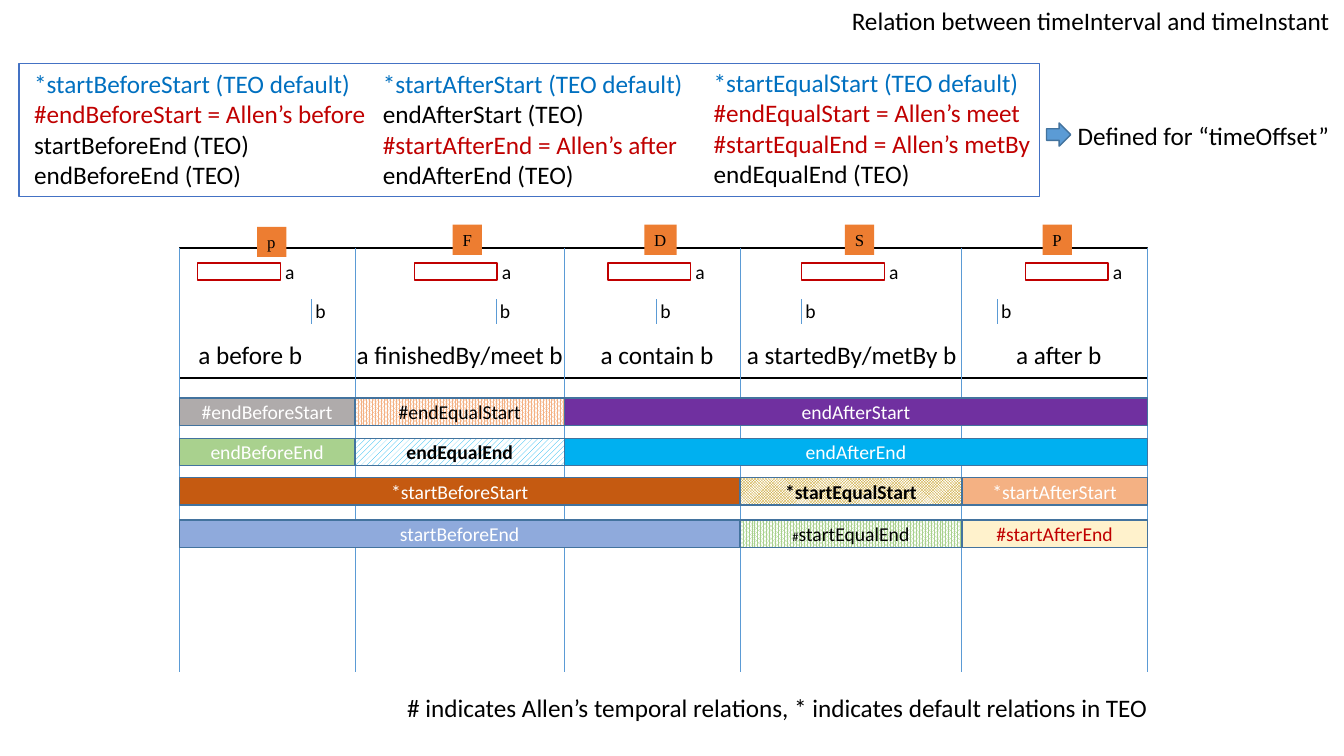
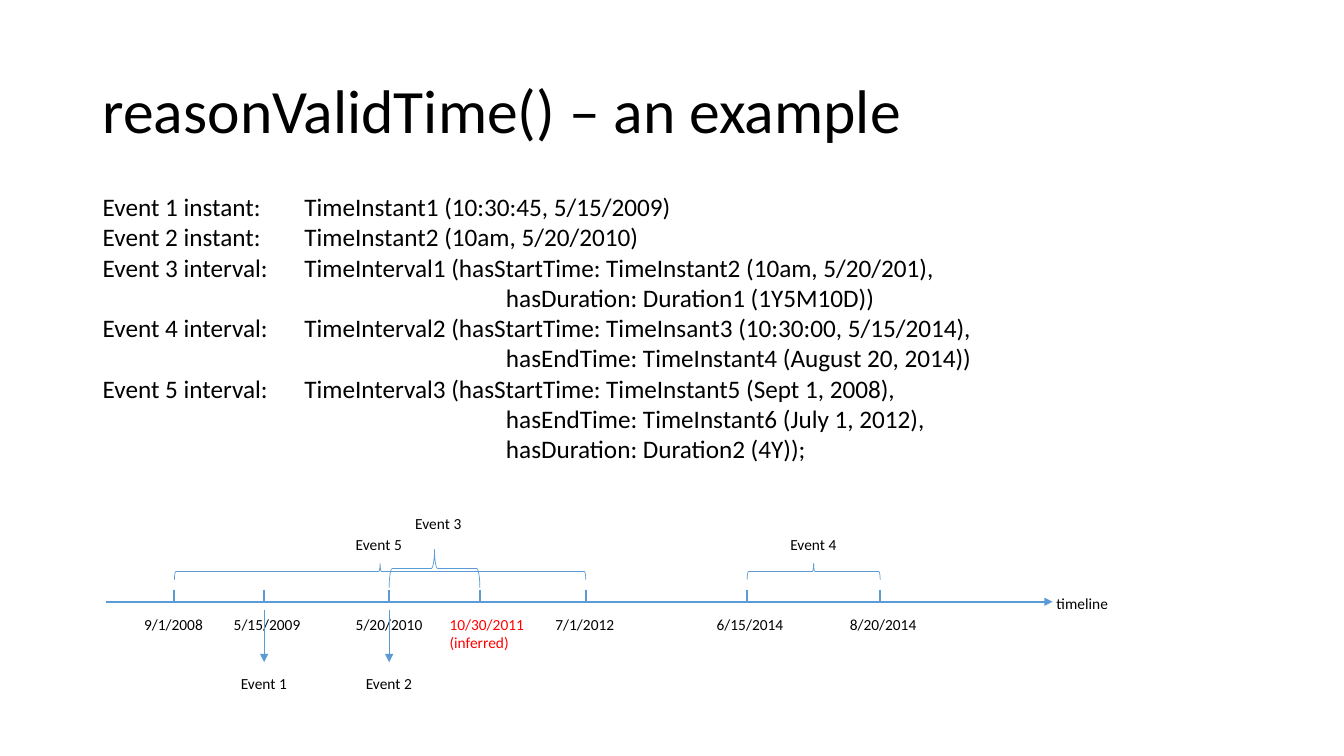
"""Build two slides on relations between time spans and time points."""
from dataclasses import dataclass
from itertools import pairwise
from typing import Any, NamedTuple, Optional, Sequence

from lxml.etree import SubElement
from pptx import Presentation
from pptx.dml.color import RGBColor
from pptx.enum.dml import MSO_PATTERN
from pptx.enum.shapes import MSO_CONNECTOR, MSO_SHAPE
from pptx.enum.text import MSO_ANCHOR, MSO_AUTO_SIZE, PP_ALIGN
from pptx.oxml.ns import qn
from pptx.util import Inches, Pt


@dataclass(frozen=True)
class Theme:
    font: str = "Calibri"
    serif: str = "Times New Roman"
    black: str = "000000"
    white: str = "FFFFFF"
    blue: str = "5B9BD5"
    edge: str = "43739E"
    frame: str = "4472C4"
    azure: str = "0070C0"
    sky: str = "00B0F0"
    red: str = "C00000"
    alert: str = "FF0000"
    orange: str = "ED7D31"
    rust: str = "C55A11"
    peach: str = "F4B183"
    gold: str = "BF9000"
    cream: str = "FFF2CC"
    green: str = "A9D18E"
    gray: str = "AFABAB"
    purple: str = "7030A0"
    steel: str = "8FAADC"
    title: float = 44
    body: float = 18
    label: float = 14
    badge: float = 12
    date: float = 11
    tiny: float = 9
    thin: float = 0.5
    thick: float = 1.5


T = Theme()


class Para(NamedTuple):
    text: str
    color: str = T.black
    indent: float = 0
    lead: str = ""


class Scene(NamedTuple):
    badge: str
    badge_x: float
    badge_y: float
    badge_w: float
    span_x: float
    point_x: float
    text: str
    text_x: float
    text_w: float


class Bar(NamedTuple):
    row: int
    first: int
    last: int
    para: Para
    fill: str
    weave: Optional[MSO_PATTERN] = None
    bold: bool = False


class Mark(NamedTuple):
    x: float
    lines: Sequence[Para]
    width: float = 0.87
    shift: float = 0.4


class Brace(NamedTuple):
    start: float
    end: float
    top: float
    height: float
    text: str
    text_x: float
    text_y: float


COLS = (1.78, 3.52, 5.6, 7.34, 9.54, 11.38)
ROWS = (3.95, 4.35, 4.74, 5.16)
TOP, BASE, FOOT = 2.46, 3.75, 6.67
AXIS = 5.97

LISTS = (
    (0.24, 0.63, 3.53, False, (
        Para("*startBeforeStart (TEO default)", T.azure),
        Para("#endBeforeStart = Allen’s before", T.red),
        Para("startBeforeEnd (TEO)"),
        Para("endBeforeEnd (TEO)"))),
    (3.7, 0.63, 6.67, True, (
        Para("*startAfterStart (TEO default)", T.azure),
        Para("endAfterStart (TEO)"),
        Para("#startAfterEnd = Allen’s after", T.red),
        Para("endAfterEnd (TEO)"))),
    (6.98, 0.62, 3.37, True, (
        Para("*startEqualStart (TEO default)", T.azure),
        Para("#endEqualStart = Allen’s meet", T.red),
        Para("#startEqualEnd = Allen’s metBy", T.red),
        Para("endEqualEnd (TEO)"))),
)

SCENES = (
    Scene("p", 2.55, 2.25, 0.29, 1.96, 3.09, "a before b", 1.87, 1.24),
    Scene("F", 4.49, 2.23, 0.29, 4.11, 4.92, "a finishedBy/meet b", 3.44, 2.27),
    Scene("D", 6.39, 2.23, 0.32, 6.03, 6.51, "a contain b", 5.86, 1.33),
    Scene("S", 8.38, 2.23, 0.29, 7.95, 7.95, "a startedBy/metBy b", 7.31, 2.3),
    Scene("P", 10.34, 2.23, 0.29, 10.17, 9.89, "a after b", 9.98, 1.06),
)

BARS = (
    Bar(0, 0, 1, Para("#endBeforeStart", T.white), T.gray),
    Bar(0, 1, 2, Para("#endEqualStart"), T.peach, MSO_PATTERN.PERCENT_80),
    Bar(0, 2, 5, Para("endAfterStart", T.white), T.purple),
    Bar(1, 0, 1, Para("endBeforeEnd", T.white), T.green),
    Bar(1, 1, 2, Para("endEqualEnd"), T.sky,
        MSO_PATTERN.WIDE_UPWARD_DIAGONAL, True),
    Bar(1, 2, 5, Para("endAfterEnd", T.white), T.sky),
    Bar(2, 0, 3, Para("*startBeforeStart", T.white), T.rust),
    Bar(2, 3, 4, Para("*startEqualStart"), T.gold,
        MSO_PATTERN.SMALL_CHECKER_BOARD, True),
    Bar(2, 4, 5, Para("*startAfterStart", T.white), T.peach),
    Bar(3, 0, 3, Para("startBeforeEnd", T.white), T.steel),
    Bar(3, 3, 4, Para("startEqualEnd", lead="#"), T.green,
        MSO_PATTERN.PERCENT_80),
    Bar(3, 4, 5, Para("#startAfterEnd", T.red), T.cream),
)

EVENTS = (
    Para("Event 1 instant:\tTimeInstant1 (10:30:45, 5/15/2009)"),
    Para("Event 2 instant:\tTimeInstant2 (10am, 5/20/2010)"),
    Para("Event 3 interval:\tTimeInterval1 (hasStartTime: TimeInstant2 (10am, 5/20/201),"),
    Para("hasDuration: Duration1 (1Y5M10D))", indent=4),
    Para("Event 4 interval:\tTimeInterval2 (hasStartTime: TimeInsant3 (10:30:00, 5/15/2014),"),
    Para("hasEndTime: TimeInstant4 (August 20, 2014))", indent=4),
    Para("Event 5 interval:\tTimeInterval3 (hasStartTime: TimeInstant5 (Sept 1, 2008),"),
    Para("hasEndTime: TimeInstant6 (July 1, 2012),", indent=4),
    Para("hasDuration: Duration2 (4Y));", indent=4),
)

MARKS = (
    Mark(1.73, [Para("9/1/2008")], 0.79),
    Mark(2.62, [Para("5/15/2009")]),
    Mark(3.86, [Para("5/20/2010")], shift=0.43),
    Mark(4.76, [Para("10/30/2011", T.alert), Para("(inferred)", T.alert)], 0.95),
    Mark(5.81, [Para("7/1/2012")], 0.79),
    Mark(7.41, [Para("6/15/2014")]),
    Mark(8.73, [Para("8/20/2014")]),
)

BRACES = (
    Brace(1.73, 5.81, 5.59, 0.16, "Event 5", 3.43, 5.26),
    Brace(3.86, 4.76, 5.45, 0.38, "Event 3", 4.02, 5.05),
    Brace(7.41, 8.73, 5.59, 0.16, "Event 4", 7.74, 5.26),
)

POINTS = ((2.62, "Event 1"), (3.86, "Event 2"))


def rgb(color: str) -> RGBColor:
    """Turn a hex string into a colour."""
    return RGBColor.from_string(color)


def write(frame: Any, lines: Sequence[Para], *, size: float = T.body,
          font: str = T.font, bold: bool = False, wrap: bool = False,
          align: PP_ALIGN = PP_ALIGN.LEFT, anchor: MSO_ANCHOR = MSO_ANCHOR.TOP,
          grow: bool = True, space: float = 1) -> None:
    """Fill a text frame with formatted lines."""
    frame.word_wrap = wrap
    frame.vertical_anchor = anchor
    frame.auto_size = MSO_AUTO_SIZE.SHAPE_TO_FIT_TEXT if grow else MSO_AUTO_SIZE.NONE
    for index, line in enumerate(lines):
        para = frame.add_paragraph() if index else frame.paragraphs[0]
        para.alignment = align
        para.line_spacing = space
        props = para._p.get_or_add_pPr()
        props.set("defTabSz", str(Inches(1)))
        if line.indent:
            props.set("marL", str(Inches(line.indent)))
        for text, points in ((line.lead, T.tiny), (line.text, size)):
            if text:
                run = para.add_run()
                run.text = text
                run.font.name = font
                run.font.size = Pt(points)
                run.font.bold = bold
                run.font.color.rgb = rgb(line.color)


def label(slide: Any, x: float, y: float, w: float, h: float,
          *lines: Para, **style: Any) -> Any:
    """Add a text box."""
    box = slide.shapes.add_textbox(Inches(x), Inches(y), Inches(w), Inches(h))
    write(box.text_frame, lines, **style)
    return box


def block(slide: Any, x: float, y: float, w: float, h: float, *,
          fill: Optional[str] = T.white, line: str = T.edge, width: float = 1,
          kind: MSO_SHAPE = MSO_SHAPE.RECTANGLE,
          weave: Optional[MSO_PATTERN] = None) -> Any:
    """Add a preset shape with a plain, woven or empty fill."""
    shape = slide.shapes.add_shape(kind, Inches(x), Inches(y), Inches(w), Inches(h))
    shape.shadow.inherit = False
    shape.line.color.rgb = rgb(line)
    shape.line.width = Pt(width)
    if fill is None:
        shape.fill.background()
    elif weave is None:
        shape.fill.solid()
        shape.fill.fore_color.rgb = rgb(fill)
    else:
        shape.fill.patterned()
        shape.fill.pattern = weave
        shape.fill.fore_color.rgb = rgb(fill)
        shape.fill.back_color.rgb = rgb(T.white)
    return shape


def rule(slide: Any, x1: float, y1: float, x2: float, y2: float, *,
         width: float = T.thin, arrow: bool = False) -> None:
    """Add a straight line, with an arrowhead if asked."""
    line = slide.shapes.add_connector(
        MSO_CONNECTOR.STRAIGHT, Inches(x1), Inches(y1), Inches(x2), Inches(y2))
    line.line.color.rgb = rgb(T.blue)
    line.line.width = Pt(width)
    props = line.element.spPr
    if arrow:
        SubElement(props.find(qn("a:ln")), qn("a:tailEnd"), type="triangle")
    SubElement(props, qn("a:effectLst"))


def draw_scene(slide: Any, scene: Scene) -> None:
    """Show one relation of a span to a point."""
    block(slide, scene.span_x, 2.61, 0.82, 0.17, line=T.red)
    label(slide, scene.span_x + 0.77, 2.53, 0.3, 0.34, Para("a"), size=T.label)
    rule(slide, scene.point_x, 2.97, scene.point_x, 3.21)
    label(slide, scene.point_x - 0.06, 2.92, 0.31, 0.34, Para("b"), size=T.label)
    label(slide, scene.text_x, 3.32, scene.text_w, 0.4, Para(scene.text))
    badge = label(slide, scene.badge_x, scene.badge_y, scene.badge_w, 0.3,
                  Para(scene.badge), size=T.badge, font=T.serif)
    badge.fill.solid()
    badge.fill.fore_color.rgb = rgb(T.orange)


def draw_bar(slide: Any, bar: Bar) -> None:
    """Span some columns with a named bar."""
    left, right = COLS[bar.first], COLS[bar.last]
    shape = block(slide, left, ROWS[bar.row], right - left, 0.27,
                  fill=bar.fill, weave=bar.weave)
    write(shape.text_frame, [bar.para], size=T.label, bold=bar.bold, wrap=True,
          align=PP_ALIGN.CENTER, anchor=MSO_ANCHOR.MIDDLE, grow=False)


def draw_brace(slide: Any, brace: Brace) -> None:
    """Set a level brace and its name above the time line."""
    span = brace.end - brace.start
    x = (brace.start + brace.end - brace.height) / 2
    y = brace.top + (brace.height - span) / 2
    shape = block(slide, x, y, brace.height, span, fill=None, line=T.blue,
                  width=T.thin, kind=MSO_SHAPE.RIGHT_BRACE)
    shape.rotation = 270
    label(slide, brace.text_x, brace.text_y, 0.67, 0.29, Para(brace.text), size=T.date)


def draw_chart(slide: Any) -> None:
    """Draw the slide of relations."""
    block(slide, COLS[0], TOP, COLS[-1] - COLS[0], BASE - TOP, line=T.black)
    for x in COLS:
        rule(slide, x, TOP, x, FOOT)
    for scene in SCENES:
        draw_scene(slide, scene)
    for bar in BARS:
        draw_bar(slide, bar)
    block(slide, 0.19, 0.63, 10.12, 1.32, line=T.frame)
    for x, y, w, wrap, lines in LISTS:
        label(slide, x, y, w, 1.31, *lines, wrap=wrap)
    block(slide, 10.38, 1.22, 0.24, 0.23, fill=T.blue, kind=MSO_SHAPE.RIGHT_ARROW)
    label(slide, 10.59, 1.14, 2.72, 0.4, Para("Defined for “timeOffset”"))
    label(slide, 8.35, 0, 5.06, 0.4, Para("Relation between timeInterval and timeInstant"))
    label(slide, 3.94, 6.82, 7.58, 0.4, Para(
        "# indicates Allen’s temporal relations, * indicates default relations in TEO"))


def draw_time(slide: Any) -> None:
    """Draw the slide of dated events."""
    label(slide, 0.92, 0.4, 11.5, 1.45, Para("reasonValidTime() – an example"),
          size=T.title, wrap=True, anchor=MSO_ANCHOR.MIDDLE, grow=False, space=0.9)
    label(slide, 0.92, 1.85, 8.91, 2.83, *EVENTS)
    for mark in MARKS:
        rule(slide, mark.x, 5.85, mark.x, AXIS, width=T.thick)
        label(slide, mark.x - mark.shift, 6.05, mark.width,
              0.11 + 0.18 * len(mark.lines), *mark.lines, size=T.date)
    for brace in BRACES:
        draw_brace(slide, brace)
    for x, name in POINTS:
        rule(slide, x, 6.05, x, 6.57, arrow=True)
        label(slide, x - 0.33, 6.64, 0.67, 0.29, Para(name), size=T.date)
    rule(slide, 1.05, AXIS, 10.38, AXIS, width=T.thick)
    rule(slide, 9.89, AXIS, 10.44, AXIS, arrow=True)
    label(slide, 10.38, 5.84, 0.72, 0.29, Para("timeline"), size=T.date)


def main() -> None:
    """Build and save the deck."""
    deck = Presentation()
    deck.slide_width, deck.slide_height = Inches(13.33), Inches(7.5)
    for draw in (draw_chart, draw_time):
        draw(deck.slides.add_slide(deck.slide_layouts[6]))
    deck.save("out.pptx")


if __name__ == "__main__":
    main()
